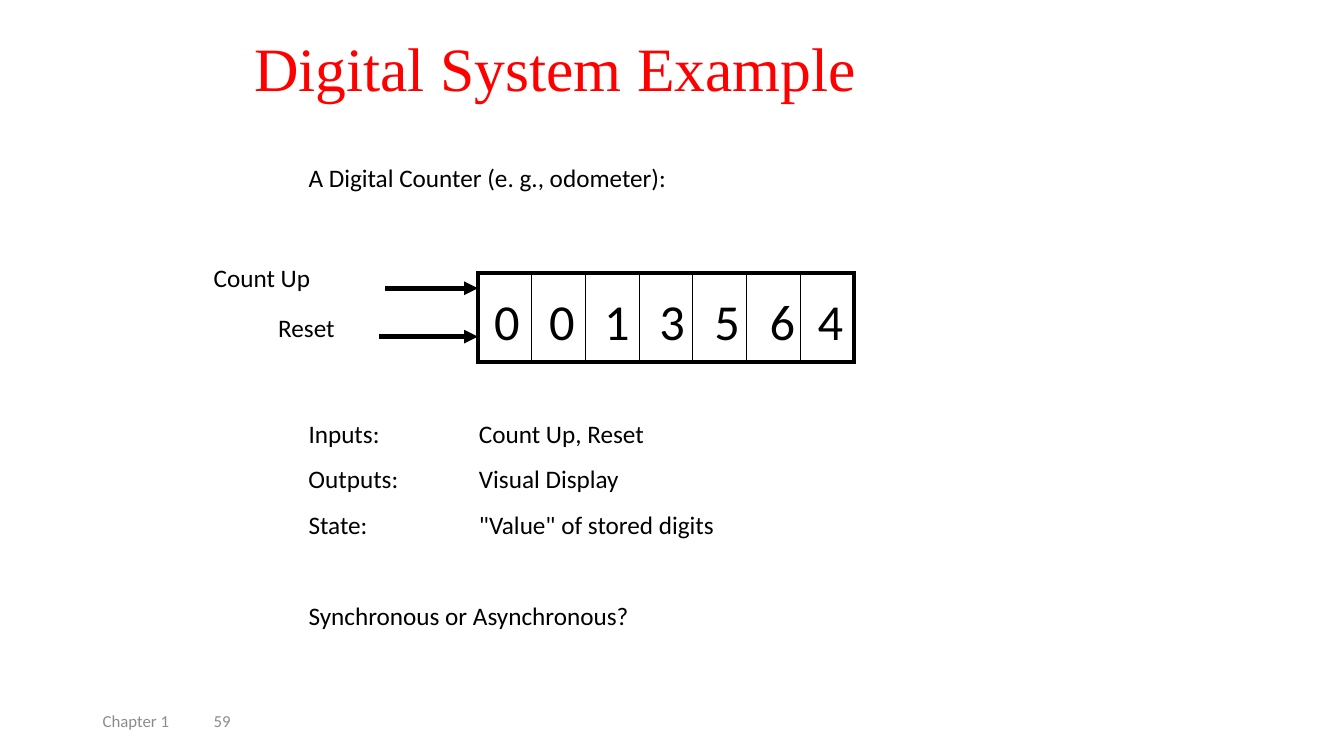
from dataclasses import dataclass

from lxml.etree import SubElement
from pptx import Presentation
from pptx.dml.color import RGBColor
from pptx.enum.shapes import MSO_CONNECTOR
from pptx.enum.text import MSO_ANCHOR, PP_ALIGN
from pptx.oxml.ns import qn
from pptx.util import Inches, Pt


@dataclass(frozen=True)
class Theme:
    black: RGBColor = RGBColor(0, 0, 0)
    red: RGBColor = RGBColor(255, 0, 0)
    grey: RGBColor = RGBColor(0x8C, 0x8C, 0x8C)
    title_font: str = "Times New Roman"
    body_font: str = "Calibri"
    title_size: int = 44
    digit_size: int = 36
    body_size: int = 18
    footer_size: int = 12


theme = Theme()


def style_text(para, font_name, size, color):
    para.alignment = PP_ALIGN.LEFT
    for span in para.runs:
        span.font.name = font_name
        span.font.size = Pt(size)
        span.font.color.rgb = color


def add_label(page, text, left, top, width, height=0.3, size=theme.body_size):
    box = page.shapes.add_textbox(Inches(left), Inches(top), Inches(width), Inches(height))
    frame = box.text_frame
    frame.margin_left = frame.margin_right = frame.margin_top = frame.margin_bottom = 0
    frame.word_wrap = False
    frame.text = text
    style_text(frame.paragraphs[0], theme.body_font, size, theme.black)
    return frame


deck = Presentation()
deck.slide_width = Inches(13.33)
deck.slide_height = Inches(7.5)
page = deck.slides.add_slide(deck.slide_layouts[5])

title = page.shapes.title
title.left, title.top = Inches(2.42), Inches(0.25)
title.width, title.height = Inches(8.5), Inches(0.92)
title.text_frame.text = "Digital System Example"
title.text_frame.vertical_anchor = MSO_ANCHOR.MIDDLE
title.text_frame.paragraphs[0].line_spacing = 0.9
style_text(title.text_frame.paragraphs[0], theme.title_font, theme.title_size, theme.red)

footer = page.shapes.add_textbox(Inches(0.92), Inches(6.95), Inches(3), Inches(0.4))
footer.text_frame.word_wrap = True
footer.text_frame.vertical_anchor = MSO_ANCHOR.MIDDLE
footer.text_frame.text = "Chapter 1\t59"
footer_para = footer.text_frame.paragraphs[0]
style_text(footer_para, theme.body_font, theme.footer_size, theme.grey)
tab_list = SubElement(footer_para._p.get_or_add_pPr(), qn("a:tabLst"))
SubElement(tab_list, qn("a:tab"), pos=str(Inches(1.1)), algn="l")

digits = "0013564"
last = len(digits) - 1
counter = page.shapes.add_table(
    1, len(digits), Inches(4.74), Inches(2.71), Inches(3.73), Inches(0.88)
).table
counter.first_row = counter.horz_banding = False
for index in range(len(digits)):
    cell = counter.cell(0, index)
    properties = cell._tc.get_or_add_tcPr()
    borders = {
        "a:lnL": 3 if index == 0 else 0.5,
        "a:lnR": 3 if index == last else 0.5,
        "a:lnT": 3,
        "a:lnB": 3,
    }
    for tag, weight in borders.items():
        border = SubElement(properties, qn(tag), w=str(Pt(weight)))
        border_fill = SubElement(border, qn("a:solidFill"))
        SubElement(border_fill, qn("a:srgbClr"), val=str(theme.black))
    cell.fill.background()

for index, digit in enumerate(digits):
    digit_left = min(4.9 + 3.28 / last * index, 8.11)
    digit_frame = add_label(page, digit, digit_left, 2.87, 0.26, 0.61, theme.digit_size)
    digit_frame.vertical_anchor = MSO_ANCHOR.MIDDLE

for arrow_left, arrow_top in [(3.82, 2.86), (3.76, 3.34)]:
    arrow = page.shapes.add_connector(
        MSO_CONNECTOR.STRAIGHT,
        Inches(arrow_left), Inches(arrow_top), Inches(4.74), Inches(arrow_top),
    )
    arrow.line.color.rgb = theme.black
    arrow.line.width = Pt(3.25)
    SubElement(arrow.line._get_or_add_ln(), qn("a:tailEnd"), type="triangle")
    SubElement(arrow._element.spPr, qn("a:effectLst"))

add_label(page, "A Digital Counter (e. g., odometer):", 3.06, 1.61, 3.59)
add_label(page, "Count Up", 2.12, 2.6, 0.97)
add_label(page, "Reset", 2.76, 3.1, 0.57)

facts = [
    ("Inputs:", 0.71, "Count Up, Reset", 2.95),
    ("Outputs:", 0.9, "Visual Display", 1.4),
    ("State:", 0.59, '"Value" of stored digits', 4.32),
]
for row, (name, name_width, value, value_width) in enumerate(facts):
    fact_top = 4.15 + 0.45 * row
    add_label(page, name, 3.06, fact_top, name_width)
    add_label(page, value, 4.75, fact_top, value_width).word_wrap = True

add_label(page, "Synchronous or Asynchronous?", 3.06, 5.96, 3.21)

deck.save("out.pptx")
